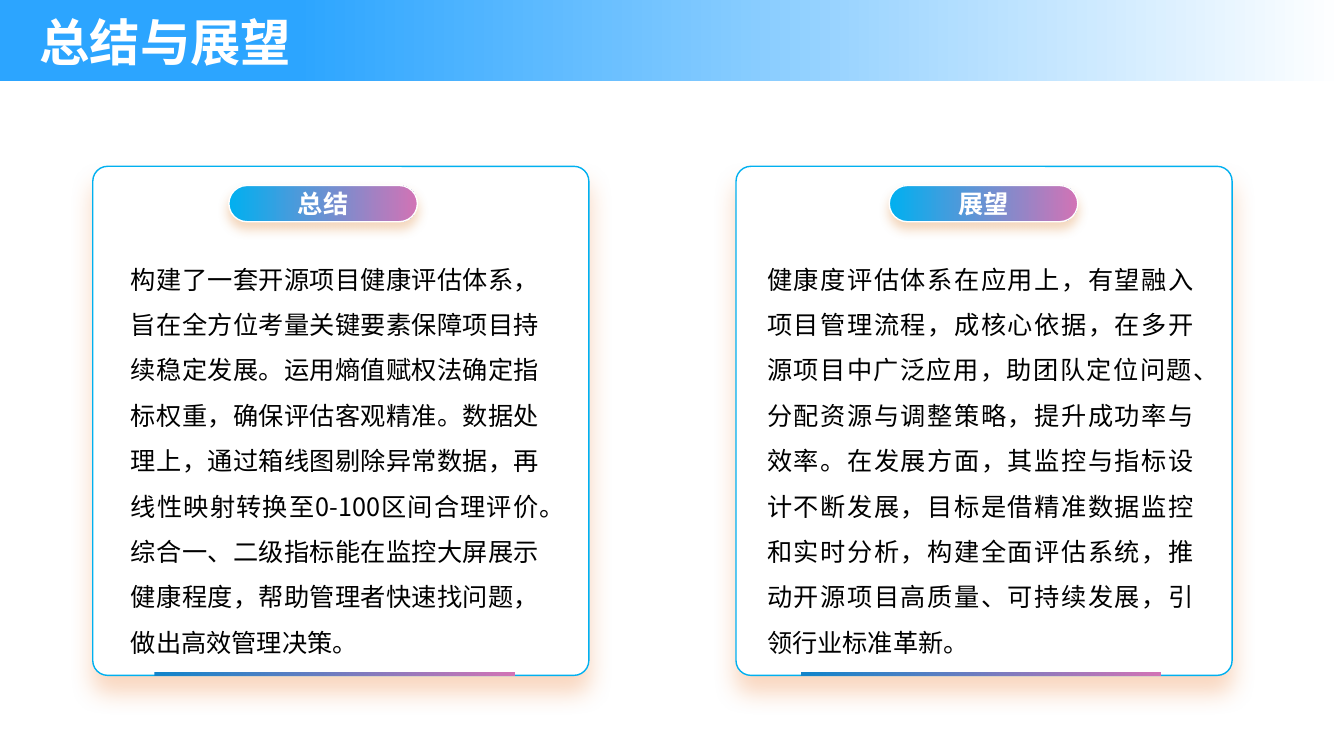
from dataclasses import dataclass

from lxml.etree import SubElement
from pptx import Presentation
from pptx.dml.color import RGBColor
from pptx.enum.shapes import MSO_SHAPE as Shape
from pptx.enum.text import MSO_ANCHOR as Anchor, MSO_AUTO_SIZE as AutoSize, PP_ALIGN as Align
from pptx.oxml.ns import qn
from pptx.util import Inches, Pt


@dataclass(frozen=True)
class Shadow:
    color: str
    alpha: int
    blur: int
    distance: int


@dataclass(frozen=True)
class Theme:
    font: str = "Noto Sans CJK SC"
    white: str = "FFFFFF"
    black: str = "000000"
    banner: str = "2CA5FF"
    cyan: str = "00B0F0"
    blue: str = "1384CA"
    pink: str = "D273B5"
    title_size: int = 36
    text_size: int = 18
    card_shadow: Shadow = Shadow("ED7D31", 31, 17, 12)
    pill_shadow: Shadow = Shadow("E09048", 36, 8, 5)


@dataclass(frozen=True)
class Card:
    heading: str
    body: str
    left: float
    accent_left: float
    body_left: float
    body_width: float
    pill_left: float


THEME = Theme()
CARDS = (
    Card(
        "总结",
        "构建了一套开源项目健康评估体系，旨在全方位考量关键要素保障项目持续稳定发展。"
        "运用熵值赋权法确定指标权重，确保评估客观精准。"
        "数据处理上，通过箱线图剔除异常数据，再线性映射转换至0-100区间合理评价。"
        "综合一、二级指标能在监控大屏展示健康程度，帮助管理者快速找问题，做出高效管理决策。",
        0.92, 1.53, 1.2, 4.25, 2.27,
    ),
    Card(
        "展望",
        "健康度评估体系在应用上，有望融入项目管理流程，成核心依据，在多开源项目中广泛应用，"
        "助团队定位问题、分配资源与调整策略，提升成功率与效率。"
        "在发展方面，其监控与指标设计不断发展，目标是借精准数据监控和实时分析，"
        "构建全面评估系统，推动开源项目高质量、可持续发展，引领行业标准革新。",
        7.3, 7.94, 7.51, 4.43, 8.82,
    ),
)


def rgb(color: str) -> RGBColor:
    return RGBColor.from_string(color)


def add_box(slide, shape, left: float, top: float, width: float, height: float,
            line: str = "", shadow: Shadow | None = None):
    sp = slide.shapes.add_shape(shape, Inches(left), Inches(top), Inches(width), Inches(height))
    if line:
        sp.line.color.rgb = rgb(line)
        sp.line.width = Pt(1)
    else:
        sp.line.fill.background()
    sp.shadow.inherit = False
    if shadow:
        effects = sp.element.spPr.find(qn("a:effectLst"))
        outer = SubElement(effects, qn("a:outerShdw"), blurRad=str(Pt(shadow.blur)),
                           dist=str(Pt(shadow.distance)), dir="5400000",
                           algn="t", rotWithShape="0")
        color = SubElement(outer, qn("a:srgbClr"), val=shadow.color)
        SubElement(color, qn("a:alpha"), val=str(shadow.alpha * 1000))
    return sp


def fill_gradient(sp, start: str, end: str, start_position: float = 0) -> None:
    sp.fill.gradient()
    sp.fill.gradient_angle = 0
    first, last = sp.fill.gradient_stops
    first.color.rgb, first.position = rgb(start), start_position
    last.color.rgb, last.position = rgb(end), 1


def write(tf, text: str, size: int, color: str, align: Align,
          bold: bool = False, spacing: float = 1.0) -> None:
    tf.word_wrap = True
    p = tf.paragraphs[0]
    p.text = text
    p.alignment = align
    p.line_spacing = spacing
    p.font.size = Pt(size)
    p.font.bold = bold
    p.font.color.rgb = rgb(color)
    p.font.name = THEME.font
    SubElement(p._p.pPr.find(qn("a:defRPr")), qn("a:ea"), typeface=THEME.font)


def add_banner(slide, text: str) -> None:
    title = slide.shapes.title
    title.left, title.top = Inches(0.29), Inches(0.06)
    title.width, title.height = Inches(8.19), Inches(0.71)
    tf = title.text_frame
    tf.vertical_anchor = Anchor.TOP
    tf.auto_size = AutoSize.SHAPE_TO_FIT_TEXT
    write(tf, text, THEME.title_size, THEME.white, Align.LEFT, bold=True)
    banner = add_box(slide, Shape.RECTANGLE, 0, 0, 13.33, 0.8)
    fill_gradient(banner, THEME.banner, THEME.white, 0.22)
    title.element.addprevious(banner.element)


def add_card(slide, card: Card) -> None:
    frame = add_box(slide, Shape.ROUNDED_RECTANGLE, card.left, 1.65, 4.92, 5.05,
                    THEME.cyan, THEME.card_shadow)
    frame.adjustments[0] = 0.03
    frame.fill.solid()
    frame.fill.fore_color.rgb = rgb(THEME.white)

    accent = add_box(slide, Shape.RECTANGLE, card.accent_left, 6.67, 3.58, 0.04)
    fill_gradient(accent, THEME.blue, THEME.pink, 0.02)

    body = slide.shapes.add_textbox(Inches(card.body_left), Inches(2.42),
                                    Inches(card.body_width), Inches(4.19))
    body.text_frame.auto_size = AutoSize.SHAPE_TO_FIT_TEXT
    write(body.text_frame, card.body, THEME.text_size, THEME.black, Align.JUSTIFY, spacing=1.5)

    pill = add_box(slide, Shape.ROUNDED_RECTANGLE, card.pill_left, 1.84, 1.87, 0.36,
                   THEME.white, THEME.pill_shadow)
    pill.adjustments[0] = 0.5
    fill_gradient(pill, THEME.cyan, THEME.pink)
    pill.text_frame.vertical_anchor = Anchor.MIDDLE
    write(pill.text_frame, card.heading, THEME.text_size, THEME.white, Align.CENTER, bold=True)


def main() -> None:
    prs = Presentation()
    prs.slide_width, prs.slide_height = Inches(13.33), Inches(7.5)
    slide = prs.slides.add_slide(prs.slide_layouts.get_by_name("Title Only"))
    add_banner(slide, "总结与展望")
    for card in CARDS:
        add_card(slide, card)
    prs.save("out.pptx")


if __name__ == "__main__":
    main()
